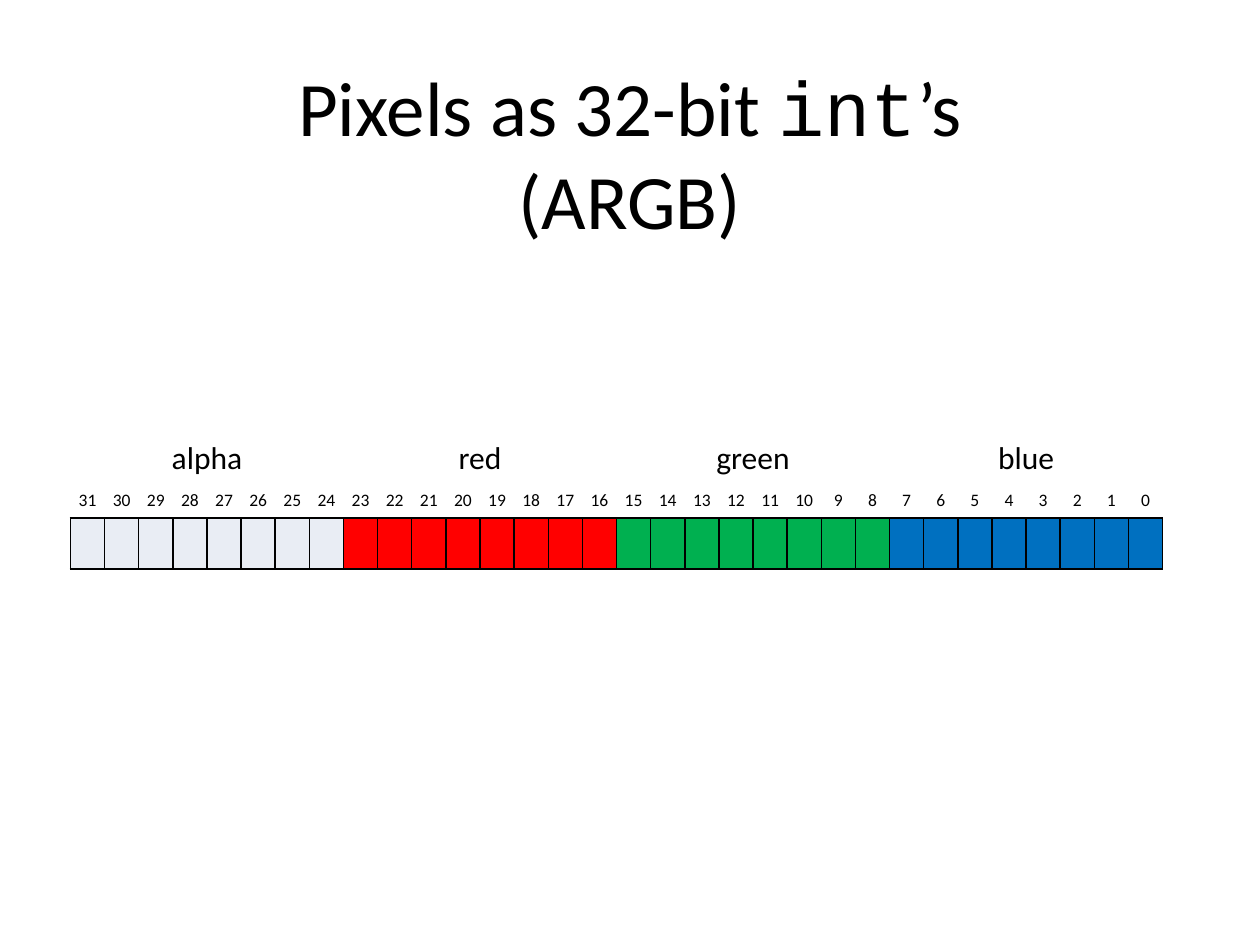
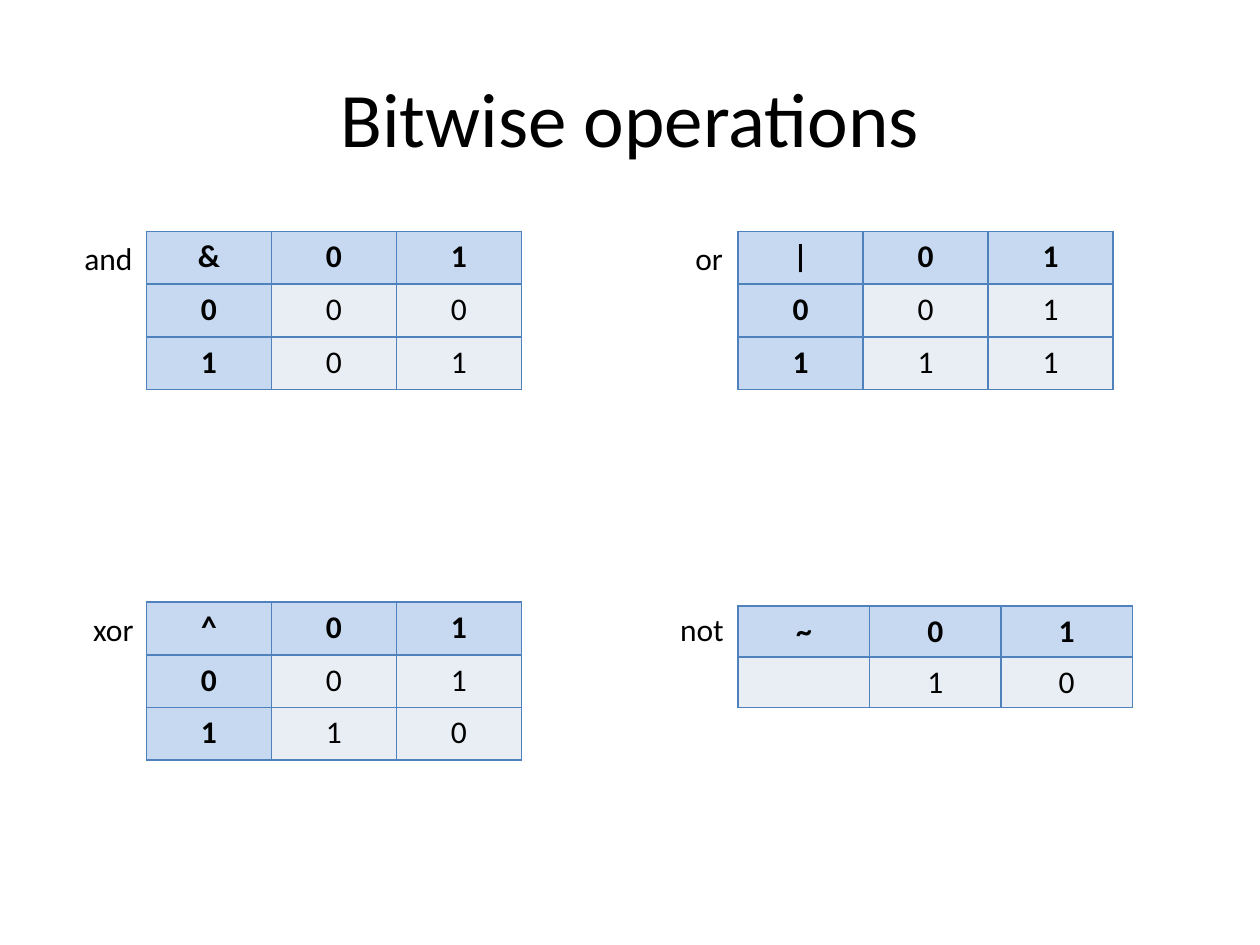
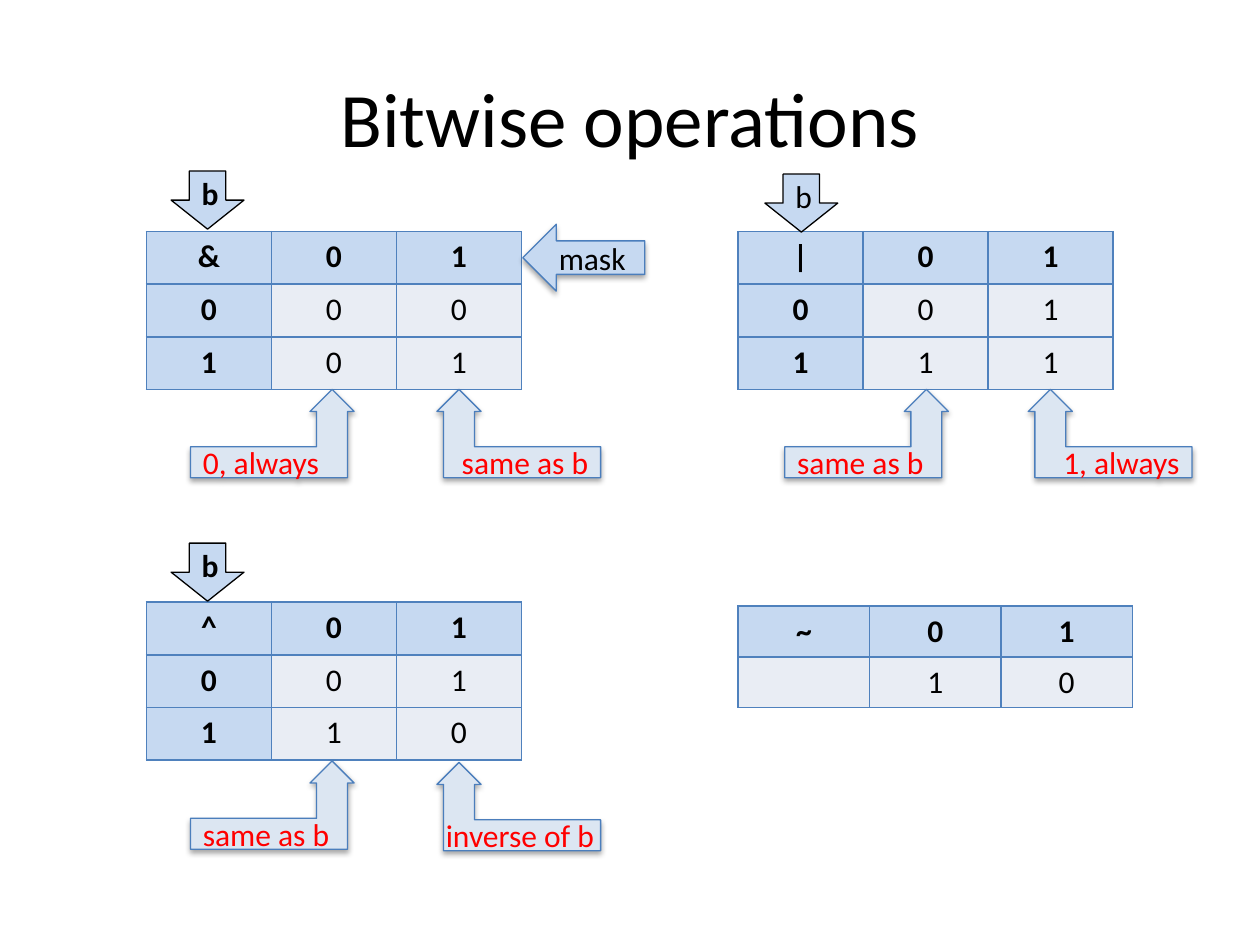
from lxml import etree
from pptx import Presentation
from pptx.dml.color import RGBColor
from pptx.enum import shapes, text
from pptx.oxml import ns, parse_xml
from pptx.util import Cm, Pt

BLACK = RGBColor(0x00, 0x00, 0x00)
WHITE = RGBColor(0xFF, 0xFF, 0xFF)
RED = RGBColor(0xFF, 0x00, 0x00)
GREEN = RGBColor(0x00, 0xB0, 0x50)
BLUE = RGBColor(0x00, 0x70, 0xC0)
PALE = RGBColor(0xE9, 0xED, 0xF4)
HEADER = RGBColor(0xC6, 0xD9, 0xF1)
CALLOUT = RGBColor(0xDC, 0xE6, 0xF2)
GRID = RGBColor(0x4F, 0x81, 0xBD)
OUTLINE = RGBColor(0x4B, 0x7E, 0xBC)

LEFT, CENTER, RIGHT = text.PP_ALIGN.LEFT, text.PP_ALIGN.CENTER, text.PP_ALIGN.RIGHT
SHAPE = shapes.MSO_SHAPE
SHADOW = (
    f'<a:outerShdw {ns.nsdecls("a")} blurRad="40000" dist="23000" dir="5400000" rotWithShape="0">'
    '<a:srgbClr val="000000"><a:alpha val="35000"/></a:srgbClr></a:outerShdw>'
)


def write(frame, words, align=CENTER, color=BLACK, **changes):
    para = frame.paragraphs[0]
    para.alignment = align
    span = para.add_run()
    span.text = words
    span.font.color.rgb = color
    style = {"name": "Calibri", "size": Pt(18), "bold": False} | changes
    for name, value in style.items():
        setattr(span.font, name, value)


def paint_cell(cell, fill, left, right, top, bottom):
    properties = cell._tc.get_or_add_tcPr()
    for side, color in zip("LRTB", (left, right, top, bottom)):
        line = etree.SubElement(properties, ns.qn(f"a:ln{side}"), w=str(Pt(1)))
        solid = etree.SubElement(line, ns.qn("a:solidFill"))
        etree.SubElement(solid, ns.qn("a:srgbClr"), val=str(color))
    if fill is None:
        cell.fill.background()
    else:
        cell.fill.solid()
        cell.fill.fore_color.rgb = fill


deck = Presentation()
deck.slide_width, deck.slide_height = Cm(25.4), Cm(19.05)

pages, titles = [], []
for title_height in (4.62, 3.18, 3.18):
    page = deck.slides.add_slide(deck.slide_layouts[6])
    title = page.shapes.add_textbox(Cm(1.27), Cm(0.76), Cm(22.86), Cm(title_height)).text_frame
    title.word_wrap = True
    title.vertical_anchor = text.MSO_ANCHOR.MIDDLE
    pages.append(page)
    titles.append(title)
pixel_page, truth_page, mask_page = pages

write(titles[0], "Pixels as 32-bit ", size=Pt(44))
write(titles[0], "int", size=Pt(44), name="Courier New")
write(titles[0], "’s", size=Pt(44))
titles[0].paragraphs[0].add_line_break()
write(titles[0], "(ARGB)", size=Pt(44))
for title in titles[1:]:
    write(title, "Bitwise operations", size=Pt(44))

channels = [("alpha", PALE), ("red", RED), ("green", GREEN), ("blue", BLUE)]
bits = pixel_page.shapes.add_table(3, 32, Cm(1.42), Cm(8.74), Cm(22.02), Cm(2.73)).table
bits.first_row = bits.horz_banding = False
for row, height in zip(bits.rows, (1.03, 0.67, 1.03)):
    row.height = Cm(height)
for column in range(32):
    channel, color = channels[column // 8]
    name_cell, number_cell, bit_cell = (bits.cell(row, column) for row in range(3))
    paint_cell(name_cell, None, WHITE, WHITE, WHITE, WHITE)
    paint_cell(number_cell, None, WHITE, WHITE, WHITE, BLACK)
    paint_cell(bit_cell, color, BLACK, BLACK, BLACK, BLACK)
    if column % 8 == 0:
        name_cell.merge(bits.cell(0, column + 7))
        write(name_cell.text_frame, channel)
    number_cell.margin_left = number_cell.margin_right = number_cell.margin_top = 0
    number_cell.margin_bottom = Cm(0.13)
    number_cell.vertical_anchor = text.MSO_ANCHOR.BOTTOM
    write(number_cell.text_frame, str(31 - column), size=Pt(10))

operations = [
    (2.95, 4.67, 2.52, 1.06, ["&01", "000", "101"]),
    (14.88, 4.67, 2.52, 1.06, ["|01", "001", "111"]),
    (2.95, 12.14, 2.52, 1.06, ["^01", "001", "110"]),
    (14.88, 12.22, 2.65, 1.02, ["~01", " 10"]),
]
for page in (truth_page, mask_page):
    for left, top, width, height, rows in operations:
        table = page.shapes.add_table(
            len(rows), 3, Cm(left), Cm(top), Cm(3 * width), Cm(len(rows) * height)
        ).table
        table.first_row = table.horz_banding = False
        for row, symbols in enumerate(rows):
            for column, symbol in enumerate(symbols):
                cell = table.cell(row, column)
                heading = symbol != " " and (row == 0 or column == 0)
                paint_cell(cell, HEADER if heading else PALE, GRID, GRID, GRID, GRID)
                if symbol != " ":
                    write(cell.text_frame, symbol, bold=heading)

labels = [
    ("and", 1.45, 4.7, 1.5),
    ("or", 13.77, 4.7, 1.07),
    ("xor", 1.63, 12.17, 1.32),
    ("not", 13.46, 12.17, 1.4),
]
for label, left, top, width in labels:
    box = truth_page.shapes.add_textbox(Cm(left), Cm(top), Cm(width), Cm(1.02))
    box.text_frame.word_wrap = False
    write(box.text_frame, label, LEFT)

DOWN = (SHAPE.DOWN_ARROW, 1.47, 1.17, HEADER, BLACK, CENTER, BLACK)
MASK = (SHAPE.LEFT_ARROW, 2.46, 1.35, HEADER, OUTLINE, CENTER, BLACK)
BENT_RIGHT = (SHAPE.BENT_UP_ARROW, 3.3, 1.78, CALLOUT, OUTLINE, LEFT, RED)
BENT_LEFT = (SHAPE.BENT_UP_ARROW, 3.3, 1.78, CALLOUT, OUTLINE, RIGHT, RED)
arrows = [
    (DOWN, "b", 3.45, 3.45, True),
    (DOWN, "b", 15.42, 3.51, False),
    (DOWN, "b", 3.45, 10.95, True),
    (BENT_RIGHT, "same as b", 15.82, 7.85, False),
    (BENT_LEFT, "same as b", 8.81, 7.85, False),
    (BENT_RIGHT, "same as b", 3.84, 15.34, False),
    (BENT_RIGHT, "0, always", 3.84, 7.85, False),
    (BENT_LEFT, "1, always", 20.73, 7.85, False),
    (BENT_LEFT, "inverse of b", 8.81, 15.37, False),
    (MASK, "mask", 10.54, 4.52, False),
]
for kind, words, left, top, bold in arrows:
    preset, width, height, fill, outline, align, color = kind
    arrow = mask_page.shapes.add_shape(preset, Cm(left), Cm(top), Cm(width), Cm(height))
    arrow.fill.solid()
    arrow.fill.fore_color.rgb = fill
    arrow.line.color.rgb = outline
    arrow.line.width = Pt(0.75)
    arrow.shadow.inherit = False
    if kind != DOWN:
        arrow._element.spPr.find(ns.qn("a:effectLst")).append(parse_xml(SHADOW))
    if preset == SHAPE.BENT_UP_ARROW:
        arrow.adjustments[0] = 0.35
    if kind == BENT_LEFT:
        arrow._element.spPr.xfrm.set("flipH", "1")
    if words == "inverse of b":
        arrow.text_frame.margin_left = 0
        arrow.text_frame.margin_right = Cm(0.13)
    write(arrow.text_frame, words, align, color, bold=bold)

deck.save("out.pptx")
